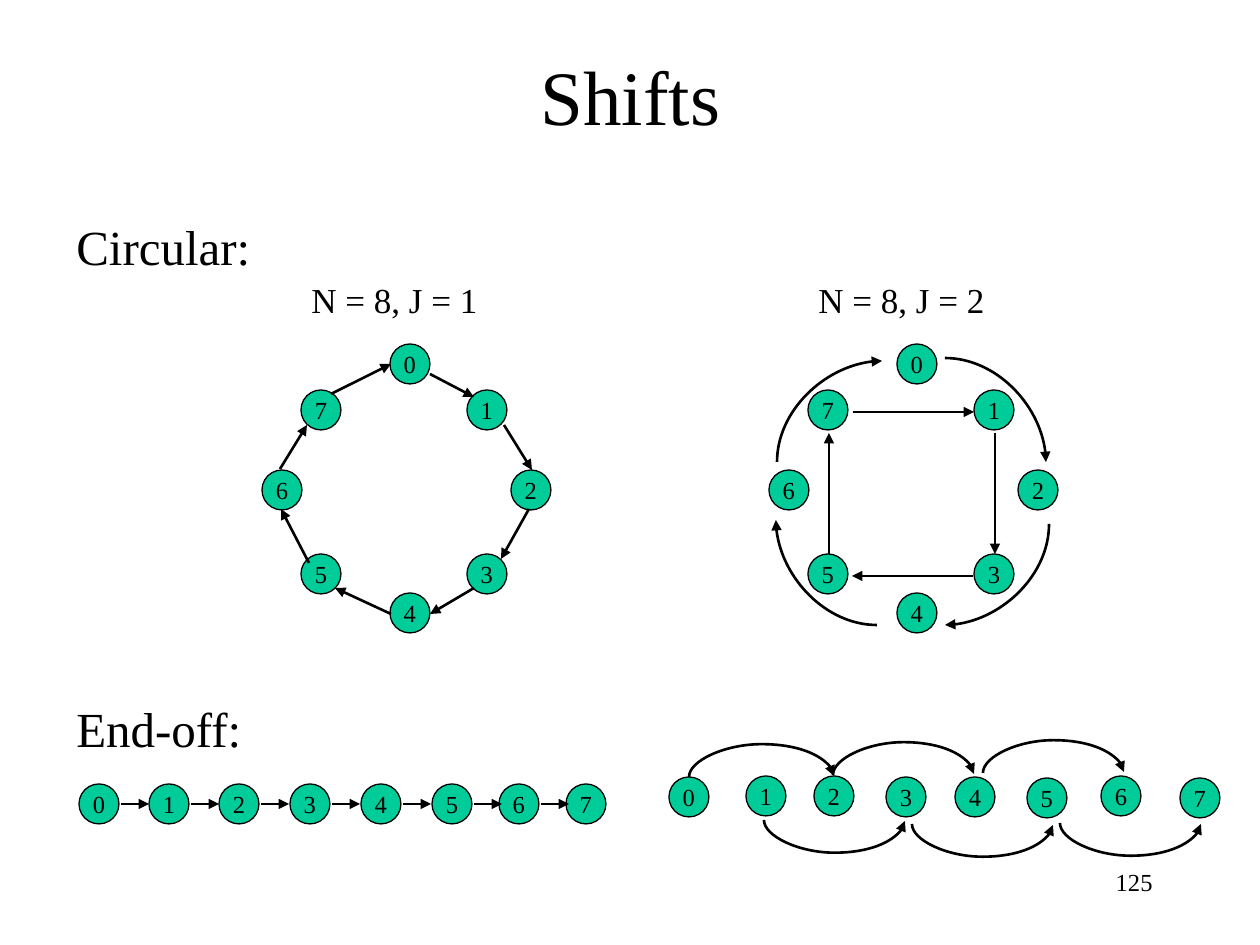
from lxml import etree
from pptx import Presentation, util as u
from pptx.dml.color import RGBColor
from pptx.enum import shapes, text
from pptx.oxml.ns import qn

PX = 914400 / 126
COLORS = {"ink": "000000", "node": "00CC99"}
FONT = "Times New Roman"
NODE = 40

deck = Presentation()
deck.slide_width, deck.slide_height = u.Inches(10), u.Inches(7.5)
page = deck.slides.add_slide(deck.slide_layouts[5])


def write(box, words, size, align):
    para = box.text_frame.paragraphs[0]
    para.alignment = align
    span = para.add_run()
    span.text = words
    span.font.size = u.Pt(size)
    span.font.name = FONT
    span.font.color.rgb = RGBColor.from_string(COLORS["ink"])
    return para


def arrow(start, end, preset="line", upright=False, bend=None):
    (x1, y1), (x2, y2) = start, end
    if upright:
        mid_x, mid_y = (x1 + x2) / 2, (y1 + y2) / 2
        half_x, half_y = (y2 - y1) / 2, (x1 - x2) / 2
        x1, y1 = mid_x - half_x, mid_y - half_y
        x2, y2 = mid_x + half_x, mid_y + half_y
    line = page.shapes.add_connector(
        shapes.MSO_CONNECTOR.STRAIGHT, *[round(v * PX) for v in (x1, y1, x2, y2)])
    line.line.color.rgb = RGBColor.from_string(COLORS["ink"])
    line.line.width = u.Pt(1.5)
    props = line._element.spPr
    if upright:
        props.find(qn("a:xfrm")).set("rot", "5400000")
    geometry = props.find(qn("a:prstGeom"))
    geometry.set("prst", preset)
    if bend:
        guides = geometry.find(qn("a:avLst"))
        if guides is None:
            guides = etree.SubElement(geometry, qn("a:avLst"))
        etree.SubElement(guides, qn("a:gd"), name="adj1", fmla=f"val {bend * 100000}")
    etree.SubElement(props.find(qn("a:ln")), qn("a:tailEnd"), type="triangle")
    etree.SubElement(props, qn("a:effectLst"))


title = page.shapes.title
title.left, title.top, title.width, title.height = [round(v * PX) for v in (95, 16, 1071, 158)]
title.text_frame.vertical_anchor = text.MSO_ANCHOR.MIDDLE
write(title, "Shifts", 44, text.PP_ALIGN.CENTER)

labels = [
    ("Circular:", 28, 64, 210, 282, 72, text.PP_ALIGN.LEFT),
    ("End-off:", 28, 64, 692, 282, 72, text.PP_ALIGN.LEFT),
    ("N = 8, J = 1", 20, 299, 272, 208, 55, text.PP_ALIGN.LEFT),
    ("N = 8, J = 2", 20, 806, 272, 208, 55, text.PP_ALIGN.LEFT),
    ("125", 14, 903, 861, 262, 63, text.PP_ALIGN.RIGHT),
]
for words, size, left, top, width, height, align in labels:
    box = page.shapes.add_textbox(*[round(v * PX) for v in (left, top, width, height)])
    box.text_frame.word_wrap = True
    write(box, words, size, align)

RING_SHIFT = 507
ring = [(390, 344), (467, 390), (511, 470), (467, 554),
        (390, 593), (301, 554), (262, 470), (301, 390)]
shifted_ring = [(left + RING_SHIFT, top) for left, top in ring]
chain = [(left, 784) for left in (79, 149, 219, 290, 361, 432, 499, 566)]
jump_row = [(669, 777), (746, 776), (814, 776), (886, 777),
            (955, 777), (1027, 778), (1101, 776), (1180, 778)]

for nodes in (ring, shifted_ring, chain, jump_row):
    for number, (left, top) in enumerate(nodes):
        node = page.shapes.add_shape(
            shapes.MSO_SHAPE.OVAL, *[round(v * PX) for v in (left, top, NODE, NODE)])
        node.shadow.inherit = False
        node.fill.solid()
        node.fill.fore_color.rgb = RGBColor.from_string(COLORS["node"])
        node.line.color.rgb = RGBColor.from_string(COLORS["ink"])
        node.line.width = u.Pt(0.75)
        node.text_frame.word_wrap = False
        node.text_frame.vertical_anchor = text.MSO_ANCHOR.MIDDLE
        para = write(node, str(number), 14, text.PP_ALIGN.CENTER)
        para.space_before = u.Pt(2.8)

ring_steps = [
    ((430, 374), (474, 397)), ((504, 425), (532, 470)),
    ((529, 509), (501, 559)), ((474, 588), (430, 614)),
    ((391, 614), (335, 588)), ((309, 563), (281, 509)),
    ((280, 469), (307, 425)), ((331, 394), (391, 364)),
]
square_steps = [
    ((995, 433), (995, 554)), ((973, 576), (852, 576)),
    ((829, 554), (829, 433)), ((853, 412), (974, 412)),
]
chain_steps = [((left + NODE + 2, 804), (left + NODE + 30, 804)) for left, top in chain[:-1]]
for start, end in ring_steps + square_steps + chain_steps:
    arrow(start, end)

outer_arcs = [
    ((945, 358), (1046, 462), False), ((1049, 524), (945, 625), True),
    ((877, 625), (776, 520), False), ((777, 462), (882, 361), True),
]
for start, end, upright in outer_arcs:
    arrow(start, end, "curvedConnector2", upright)

HOP = 141
hops = [(689, 777, 145, -1), (833, 775, HOP, -1), (983, 773, HOP, -1),
        (764, 820, HOP, 1), (912, 824, HOP, 1), (1060, 823, HOP, 1)]
for x, y, reach, rise in hops:
    arrow((x, y), (x + reach, y + rise), "curvedConnector3", True, bend=33)

deck.save("out.pptx")
